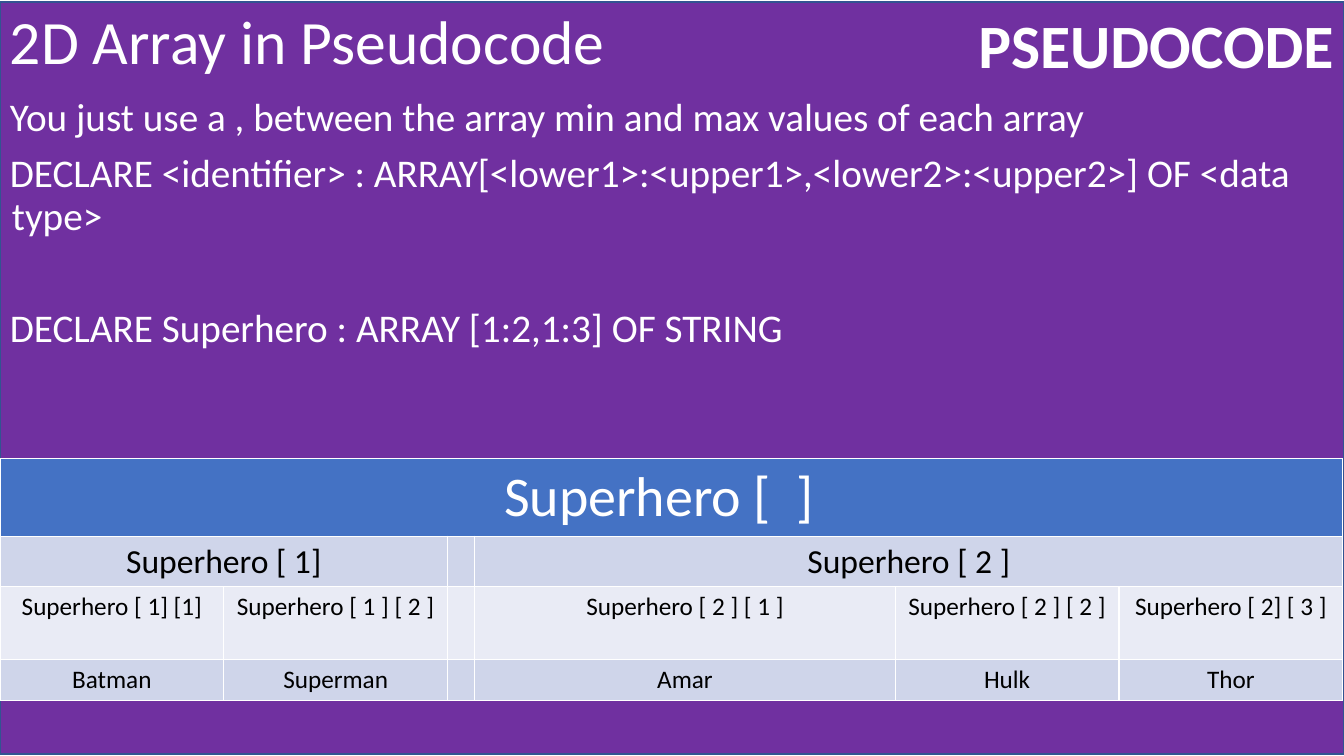
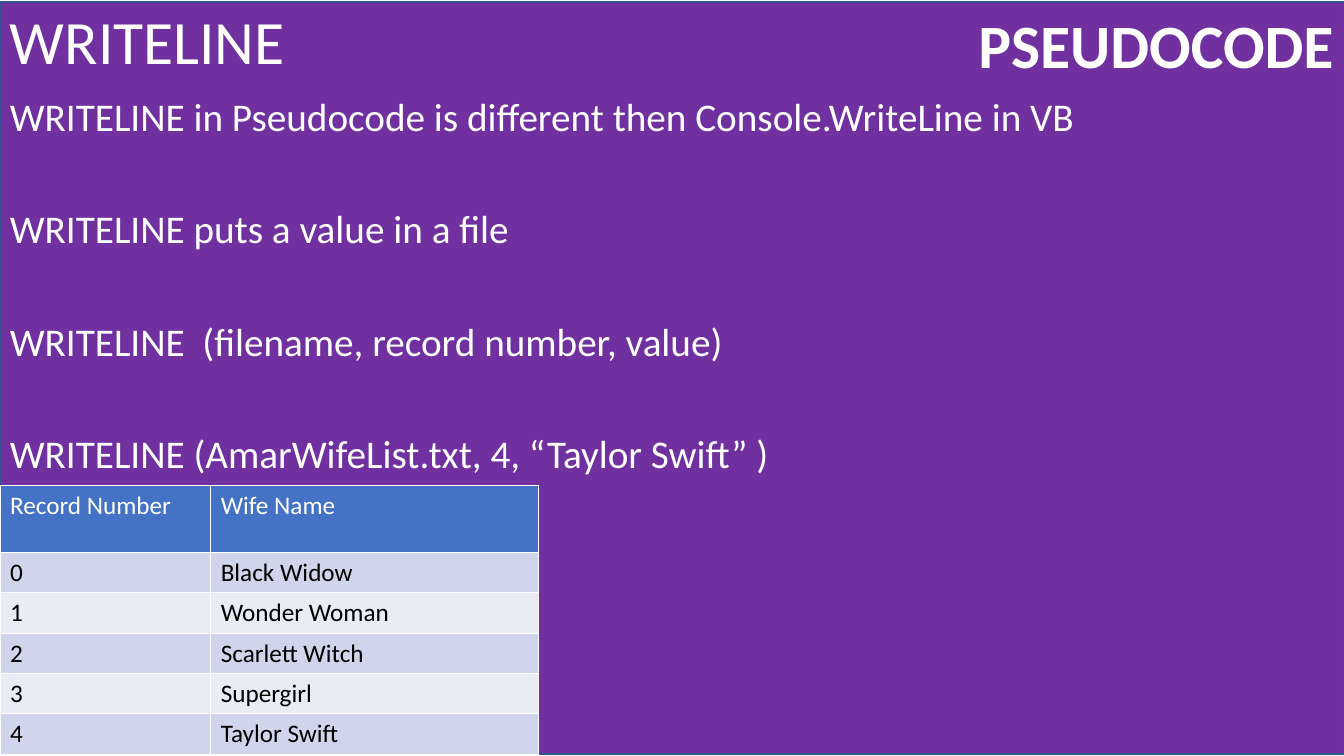
from pptx import Presentation
from pptx.dml.color import RGBColor
from pptx.enum.shapes import MSO_SHAPE as Shape
from pptx.enum.text import MSO_ANCHOR as Anchor, PP_ALIGN as Align
from pptx.util import Inches, Pt

PURPLE = RGBColor(0x70, 0x30, 0xA0)
EDGE = RGBColor(0x32, 0x54, 0x91)
WHITE = RGBColor(0xFF, 0xFF, 0xFF)
BLACK = RGBColor(0, 0, 0)
BLUE = RGBColor(0x44, 0x72, 0xC4)
BANDS = [RGBColor(0xE9, 0xEB, 0xF5), RGBColor(0xCF, 0xD5, 0xEA)]
FONT = "Calibri"
WIDE = 13.33
TIGHT, LOOSE = 10, 50


def style(para, size, color=WHITE, bold=False, align=Align.LEFT):
    para.alignment = align
    font = para.font
    font.name, font.size, font.bold = FONT, Pt(size), bold
    font.color.rgb = color


def add_box(slide, left, top, width, height):
    box = slide.shapes.add_textbox(*map(Inches, (left, top, width, height)))
    box.text_frame.word_wrap = True
    return box.text_frame


def add_base(prs, title):
    slide = prs.slides.add_slide(prs.slide_layouts[6])
    panel = slide.shapes.add_shape(
        Shape.RECTANGLE, 0, Inches(0.02), Inches(WIDE), Inches(7.46))
    panel.shadow.inherit = False
    panel.fill.solid()
    panel.fill.fore_color.rgb = PURPLE
    panel.line.color.rgb = EDGE
    panel.line.width = Pt(1)

    label = add_box(slide, 8.73, 0.02, 4.6, 0.84).paragraphs[0]
    label.text = "PSEUDOCODE"
    style(label, 44, bold=True, align=Align.RIGHT)

    frame = add_box(slide, 0, 0.02, WIDE, 0.84)
    frame.vertical_anchor = Anchor.MIDDLE
    head = frame.paragraphs[0]
    head.text = title
    head.line_spacing = 0.9
    style(head, 44)
    return slide


def add_body(slide, lines):
    frame = add_box(slide, 0, 0.92, WIDE, 6.56)
    for i, (text, gap) in enumerate(lines):
        para = frame.add_paragraph() if i else frame.paragraphs[0]
        para.text = text
        para.line_spacing = 0.9
        para.space_before = Pt(gap)
        style(para, 28)
        props = para._p.get_or_add_pPr()
        props.set("marL", str(Inches(0.02)))
        props.set("indent", str(-Inches(0.02)))


def add_grid(slide, top, cols, rows, data, sizes, align=Align.LEFT, spans=()):
    frame = slide.shapes.add_table(
        len(rows), len(cols), 0, Inches(top),
        Inches(sum(cols)), Inches(sum(rows)))
    table = frame.table
    for col, width in zip(table.columns, cols):
        col.width = Inches(width)
    for row, height in zip(table.rows, rows):
        row.height = Inches(height)
    for r, (texts, size) in enumerate(zip(data, sizes)):
        for c, text in enumerate(texts):
            cell = table.cell(r, c)
            cell.fill.solid()
            cell.fill.fore_color.rgb = BANDS[r % 2] if r else BLUE
            para = cell.text_frame.paragraphs[0]
            para.text = text
            style(para, size, BLACK if r else WHITE, align=align)
    for r, first, last in spans:
        table.cell(r, first).merge(table.cell(r, last))


def add_array(prs):
    slide = add_base(prs, "2D Array in Pseudocode")
    add_body(slide, [
        ("You just use a , between the array min and max values of each array",
         TIGHT),
        ("DECLARE <identifier> : ARRAY[<lower1>:<upper1>,<lower2>:<upper2>] "
         "OF <data type>", TIGHT),
        ("DECLARE Superhero : ARRAY [1:2,1:3] OF STRING", LOOSE),
    ])
    data = [
        ["Superhero [  ]  ", "", "", "", "", ""],
        ["Superhero [ 1]", "", "", "Superhero [ 2 ]", "", ""],
        ["Superhero [ 1] [1]", "Superhero [ 1 ] [ 2 ]", "",
         "Superhero [ 2 ] [ 1 ]", "Superhero [ 2 ] [ 2 ]",
         "Superhero [ 2] [ 3 ]"],
        ["Batman", "Superman", "", "Amar", "Hulk", "Thor"],
    ]
    add_grid(slide, 4.55, [2.22, 2.22, 0.27, 4.17, 2.22, 2.22],
             [0.77, 0.5, 0.72, 0.41], data, [40, 24, 18, 18], Align.CENTER,
             [(0, 0, 5), (1, 0, 1), (1, 3, 5)])


def add_write(prs):
    slide = add_base(prs, "WRITELINE")
    add_body(slide, [
        ("WRITELINE in Pseudocode is different then Console.WriteLine in VB",
         TIGHT),
        ("WRITELINE puts a value in a file", LOOSE),
        ("WRITELINE  (filename, record number, value)", LOOSE),
        ("WRITELINE (AmarWifeList.txt, 4, “Taylor Swift” )", LOOSE),
    ])
    names = ["Black Widow", "Wonder Woman", "Scarlett Witch", "Supergirl",
             "Taylor Swift"]
    data = [["Record Number", "Wife Name"]]
    data += [[str(i), name] for i, name in enumerate(names)]
    add_grid(slide, 4.82, [2.09, 3.25], [0.66] + [0.4] * len(names),
             data, [18] * len(data))


def main():
    prs = Presentation()
    prs.slide_width, prs.slide_height = Inches(WIDE), Inches(7.5)
    add_array(prs)
    add_write(prs)
    prs.save("out.pptx")


main()
